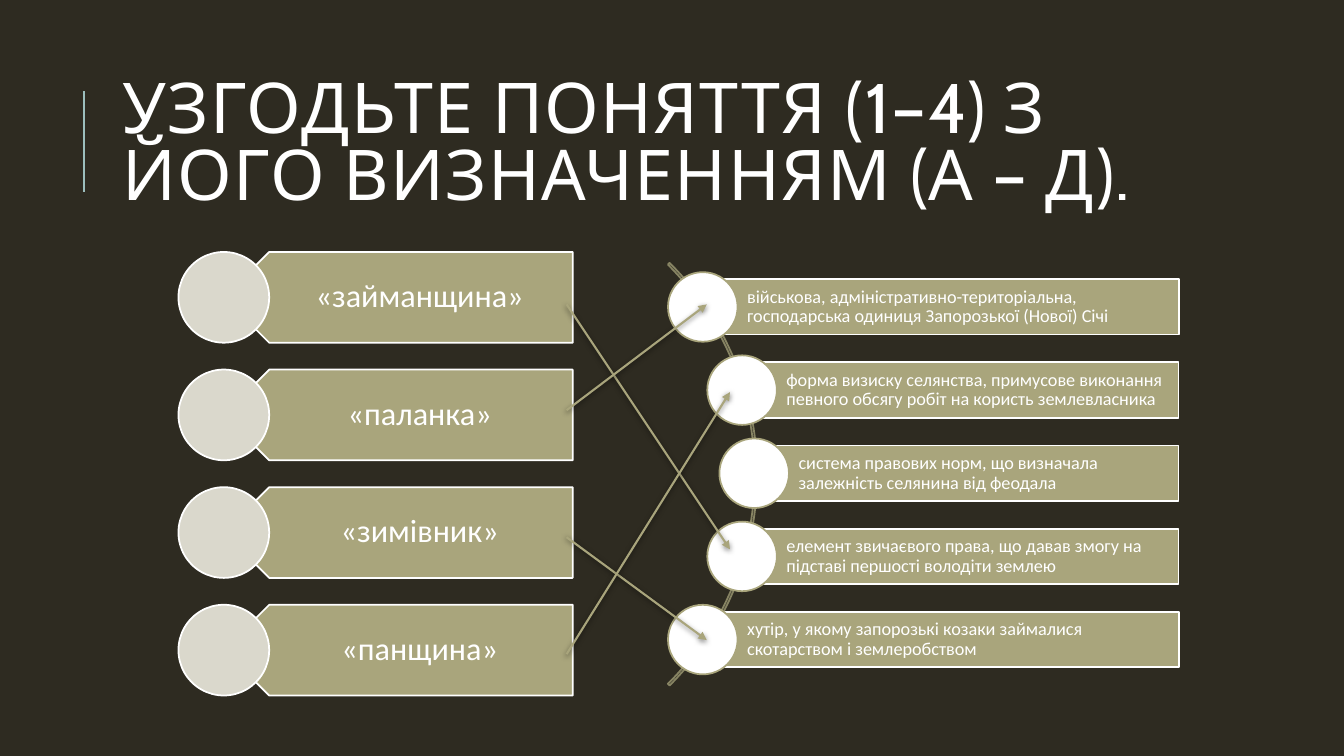
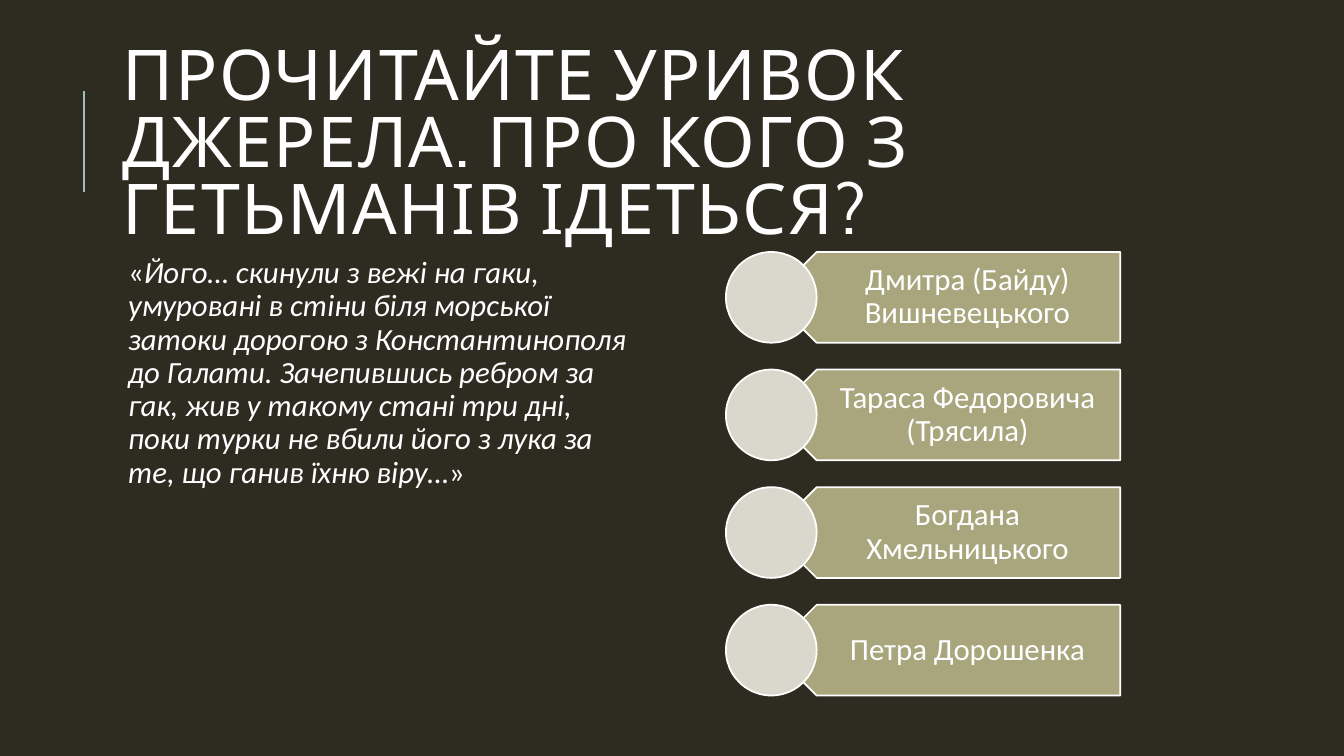
from dataclasses import dataclass

from lxml import etree
from pptx import Presentation
from pptx.dml.color import RGBColor
from pptx.enum import shapes, text
from pptx.oxml import ns
from pptx.util import Inches, Pt

# Shared colours and fonts
BACKGROUND = RGBColor(0x2E, 0x2B, 0x21)
WHITE = RGBColor(0xFF, 0xFF, 0xFF)
OLIVE = RGBColor(0xA9, 0xA5, 0x7C)
DARK_OLIVE = RGBColor(0x87, 0x84, 0x63)
PALE = RGBColor(0xDA, 0xD8, 0xCC)
TEAL = RGBColor(0x9C, 0xBE, 0xBD)
TITLE_FONT, BODY_FONT = "Cabin", "Calibri"

# Plates with a circle at the left
PLATE_TOP, PLATE_STEP = 2.5, 3.5 / 3
PLATE_W, PLATE_H = 3.46, 0.9

# Definition bars along the arc
BAR_TOP, BAR_STEP, BAR_H, BAR_RIGHT = 2.77, 0.825, 0.55, 11.69
DOT = 0.69


@dataclass
class Box:
    left: float
    top: float
    width: float
    height: float

    def emu(self) -> tuple:
        return tuple(Inches(v) for v in (self.left, self.top, self.width, self.height))


@dataclass
class Definition:
    left: float
    words: str


@dataclass
class Arrow:
    x1: float
    y1: float
    x2: float
    y2: float


TERMS = ["«займанщина»", "«паланка»", "«зимівник»", "«панщина»"]
DEFINITIONS = [
    Definition(6.97, "військова, адміністративно-територіальна, господарська одиниця Запорозької (Нової) Січі"),
    Definition(7.36, "форма визиску селянства, примусове виконання певного обсягу робіт на користь землевласника"),
    Definition(7.48, "система правових норм, що визначала залежність селянина від феодала"),
    Definition(7.36, "елемент звичаєвого права, що давав змогу на підставі першості володіти землею"),
    Definition(6.97, "хутір, у якому запорозькі козаки займалися скотарством і землеробством"),
]
ARROWS = [
    Arrow(5.62, 3.02, 7.24, 5.45),
    Arrow(5.62, 4.07, 7.01, 3.02),
    Arrow(5.62, 5.33, 7.01, 6.35),
    Arrow(5.62, 6.49, 7.24, 3.89),
]
HETMANS = [
    "Дмитра (Байду) Вишневецького",
    "Тараса Федоровича (Трясила)",
    "Богдана Хмельницького",
    "Петра Дорошенка",
]
QUOTE = (
    "Його… скинули з вежі на гаки, умуровані в стіни біля морської затоки дорогою "
    "з Константинополя до Галати. Зачепившись ребром за гак, жив у такому стані три дні, "
    "поки турки не вбили його з лука за те, що ганив їхню віру…"
)


def add_shape(s, kind, box: Box, fill=None, line=WHITE):
    sp = s.shapes.add_shape(kind, *box.emu())
    sp.shadow.inherit = False
    if fill is None:
        sp.fill.background()
    else:
        sp.fill.solid()
        sp.fill.fore_color.rgb = fill
    sp.line.color.rgb = line
    sp.line.width = Pt(1.25)
    return sp


def add_line(s, a: Arrow, color: RGBColor):
    cx = s.shapes.add_connector(
        shapes.MSO_CONNECTOR.STRAIGHT, Inches(a.x1), Inches(a.y1), Inches(a.x2), Inches(a.y2))
    cx.line.color.rgb = color
    cx.line.width = Pt(1.5)
    effects = etree.SubElement(cx._element.spPr, ns.qn("a:effectLst"))
    return cx, effects


def add_arrow(s, a: Arrow) -> None:
    cx, effects = add_line(s, a, OLIVE)
    etree.SubElement(cx.line._get_or_add_ln(), ns.qn("a:tailEnd"), type="triangle")
    shadow = etree.SubElement(effects, ns.qn("a:outerShdw"), blurRad=str(Pt(4)),
                              dist=str(Pt(1)), dir="5400000", rotWithShape="0")
    black = etree.SubElement(shadow, ns.qn("a:srgbClr"), val="000000")
    etree.SubElement(black, ns.qn("a:alpha"), val="50000")


def set_text(sp, runs: list, size: float, insets: tuple, font: str = BODY_FONT,
             anchor=text.MSO_ANCHOR.MIDDLE, align=text.PP_ALIGN.LEFT, spacing: float = 0.9):
    """Fill a shape with one paragraph of (words, italic) runs."""
    tf = sp.text_frame
    tf.word_wrap = True
    tf.vertical_anchor = anchor
    tf.margin_left, tf.margin_top, tf.margin_right, tf.margin_bottom = map(Inches, insets)
    p = tf.paragraphs[0]
    p.alignment = align
    p.line_spacing = spacing
    for words, italic in runs:
        r = p.add_run()
        r.text = words
        r.font.name = font
        r.font.size = Pt(size)
        r.font.italic = italic
        r.font.color.rgb = WHITE
    return p


def add_slide(prs, title: str):
    """Blank slide with the side rule and the title."""
    s = prs.slides.add_slide(prs.slide_layouts[6])
    add_line(s, Arrow(0.83, 1.9, 0.83, 0.9), TEAL)
    sp = s.shapes.add_textbox(*Box(1.12, 0.64, 10.63, 1.64).emu())
    p = set_text(sp, [(title, False)], 50, (0.1, 0.05, 0.1, 0.05), TITLE_FONT, spacing=0.8)
    p.runs[0].font._element.set("spc", "100")
    return s


def add_plates(s, left: float, labels: list, size: float, inset: float) -> None:
    for i, label in enumerate(labels):
        top = PLATE_TOP + i * PLATE_STEP
        plate = add_shape(s, shapes.MSO_SHAPE.PENTAGON,
                          Box(left + PLATE_H / 2, top, PLATE_W, PLATE_H), OLIVE)
        plate.rotation = 180
        sp = s.shapes.add_textbox(*Box(left + 0.67, top, 3.23, PLATE_H).emu())
        set_text(sp, [(label, False)], size, (0.4, inset, 0.18, inset),
                 align=text.PP_ALIGN.CENTER)
        add_shape(s, shapes.MSO_SHAPE.OVAL, Box(left, top, PLATE_H, PLATE_H), PALE)


def add_definitions(s) -> None:
    arc = add_shape(s, shapes.MSO_SHAPE.BLOCK_ARC, Box(1.58, 1.74, 5.93, 5.93), line=DARK_OLIVE)
    for i, value in enumerate((189, 27, 0.004)):
        arc.adjustments[i] = value
    for i, d in enumerate(DEFINITIONS):
        top = BAR_TOP + i * BAR_STEP
        bar = add_shape(s, shapes.MSO_SHAPE.RECTANGLE,
                        Box(d.left, top, BAR_RIGHT - d.left, BAR_H), OLIVE)
        set_text(bar, [(d.words, False)], 13, (0.44, 0.04, 0.04, 0.04))
        add_shape(s, shapes.MSO_SHAPE.OVAL,
                  Box(d.left - DOT / 2, top + (BAR_H - DOT) / 2, DOT, DOT), WHITE, OLIVE)


def matching_slide(prs) -> None:
    s = add_slide(prs, "УЗГОДЬТЕ ПОНЯТТЯ (1–4) З ЙОГО ВИЗНАЧЕННЯМ (А – Д).")
    add_plates(s, 1.77, TERMS, 23, 0.1)
    add_definitions(s)
    for a in ARROWS:
        add_arrow(s, a)


def quote_slide(prs) -> None:
    s = add_slide(prs, "ПРОЧИТАЙТЕ УРИВОК ДЖЕРЕЛА. ПРО КОГО З ГЕТЬМАНІВ ІДЕТЬСЯ?")
    sp = s.shapes.add_textbox(*Box(1.12, 2.5, 5.2, 4.4).emu())
    set_text(sp, [("«", False), (QUOTE, True), ("»", False)], 22,
             (0.15, 0.05, 0.05, 0.05), anchor=text.MSO_ANCHOR.TOP)
    add_plates(s, 7.2, HETMANS, 22, 0.09)


def main() -> None:
    prs = Presentation()
    prs.slide_width, prs.slide_height = Inches(13.33), Inches(7.5)
    fill = prs.slide_master.background.fill
    fill.solid()
    fill.fore_color.rgb = BACKGROUND
    matching_slide(prs)
    quote_slide(prs)
    prs.save("out.pptx")


if __name__ == "__main__":
    main()
